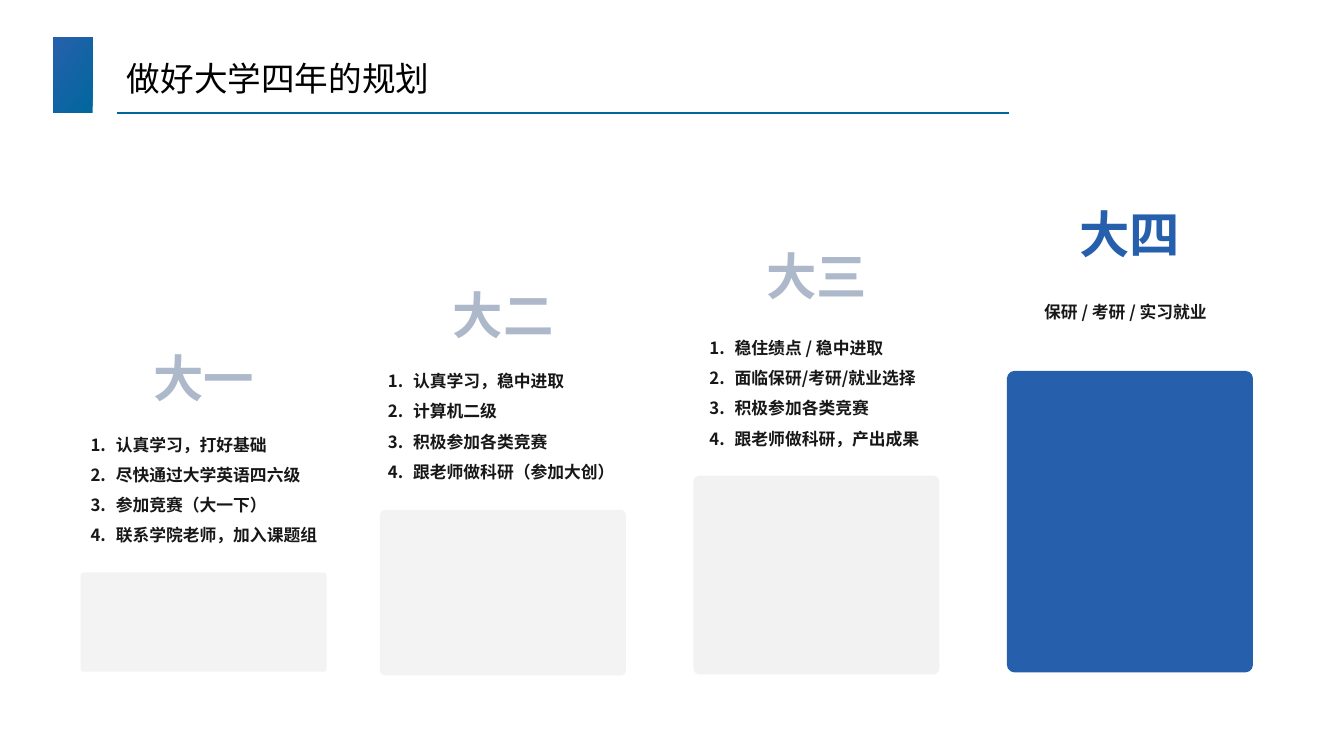
import dataclasses

import lxml.etree
import pptx
import pptx.dml.color
import pptx.enum.shapes
import pptx.enum.text
import pptx.oxml.ns
import pptx.shapes.base
import pptx.slide
import pptx.text.text
import pptx.util

# Grid: 80 columns by 45 rows of square cells on a 13.33 x 7.5 inch slide
COLUMNS, ROWS = 80, 45
CELL = pptx.util.Inches(7.5) // ROWS
FONT = "Noto Sans CJK SC"
COLORS = {
    "teal": "00679C",
    "blue": "2660AD",
    "muted": "ADB9CA",
    "ink": "181717",
    "black": "000000",
    "pale": "F3F3F3",
    "pale_dark": "F2F2F2",
}
FORMATS = {
    "title": {"size": pptx.util.Pt(24), "bold": False},
    "year": {"size": pptx.util.Pt(36), "bold": True},
    "plan": {"size": pptx.util.Pt(12), "bold": True},
}
BAR_WIDTH = 14.64
YEAR_WIDTH, YEAR_HEIGHT = 7.26, 4.26
INDENT = 1.5


@dataclasses.dataclass(frozen=True)
class Box:
    left: float
    top: float
    width: float
    height: float


@dataclasses.dataclass(frozen=True)
class Year:
    name: str
    name_color: str
    name_top: float
    plan_box: Box
    plans: tuple[str, ...]
    bar_left: float
    bar_top: float
    bar_height: float
    bar_color: str


YEARS = (
    Year("大一", "muted", 20.34, Box(4.8, 24.96, 16.86, 9.48),
         ("认真学习，打好基础", "尽快通过大学英语四六级", "参加竞赛（大一下）", "联系学院老师，加入课题组"),
         4.8, 34.08, 5.9, "pale"),
    Year("大二", "muted", 16.62, Box(22.5, 21.18, 15.9, 7.68),
         ("认真学习，稳中进取", "计算机二级", "积极参加各类竞赛", "跟老师做科研（参加大创）"),
         22.62, 30.36, 9.84, "pale"),
    Year("大三", "muted", 14.28, Box(41.64, 19.2, 15.9, 7.68),
         ("稳住绩点 / 稳中进取", "面临保研/考研/就业选择", "积极参加各类竞赛", "跟老师做科研，产出成果"),
         41.28, 28.32, 11.82, "pale_dark"),
    Year("大四", "blue", 11.82, Box(61.56, 17.04, 11.46, 2.22),
         ("保研 / 考研 / 实习就业",),
         59.94, 22.08, 17.94, "blue"),
)


def cells(count: float) -> int:
    return round(count * CELL)


def place(box: Box) -> tuple[int, int, int, int]:
    return cells(box.left), cells(box.top), cells(box.width), cells(box.height)


def rgb(name: str) -> pptx.dml.color.RGBColor:
    return pptx.dml.color.RGBColor.from_string(COLORS[name])


def add_block(slide: pptx.slide.Slide, kind: pptx.enum.shapes.MSO_SHAPE, box: Box) -> pptx.shapes.base.BaseShape:
    shape = slide.shapes.add_shape(kind, *place(box))
    shape.shadow.inherit = False
    shape.line.fill.background()
    return shape


def number_paragraph(paragraph: pptx.text.text._Paragraph) -> None:
    properties = paragraph._p.get_or_add_pPr()
    properties.set("marL", str(cells(INDENT)))
    properties.set("indent", str(-cells(INDENT)))
    bullet = lxml.etree.SubElement(properties, pptx.oxml.ns.qn("a:buAutoNum"))
    bullet.set("type", "arabicPeriod")


def add_text(slide: pptx.slide.Slide, box: Box, lines: tuple[str, ...], style: str, color: str,
             frame_format: dict[str, object], paragraph_format: dict[str, object]) -> None:
    frame = slide.shapes.add_textbox(*place(box)).text_frame
    for name, value in frame_format.items():
        setattr(frame, name, value)
    for index, line in enumerate(lines):
        paragraph = frame.add_paragraph() if index else frame.paragraphs[0]
        if len(lines) > 1:
            number_paragraph(paragraph)
        for name, value in paragraph_format.items():
            setattr(paragraph, name, value)
        run = paragraph.add_run()
        run.text = line
        for name, value in {"name": FONT, **FORMATS[style]}.items():
            setattr(run.font, name, value)
        run.font.color.rgb = rgb(color)
        east_asian = lxml.etree.SubElement(run._r.get_or_add_rPr(), pptx.oxml.ns.qn("a:ea"))
        east_asian.set("typeface", FONT)


def add_header(slide: pptx.slide.Slide) -> None:
    marker = add_block(slide, pptx.enum.shapes.MSO_SHAPE.RECTANGLE, Box(3.18, 2.25, 2.34, 4.47))
    marker.fill.gradient()
    marker.fill.gradient_angle = 145
    for stop, color, position in zip(marker.fill.gradient_stops, ("teal", "blue"), (0, 1)):
        stop.color.rgb = rgb(color)
        stop.position = position

    rule = slide.shapes.add_connector(
        pptx.enum.shapes.MSO_CONNECTOR.STRAIGHT, cells(6.96), cells(6.72), cells(60.06), cells(6.72))
    rule.line.color.rgb = rgb("teal")
    rule.line.width = pptx.util.Pt(1)
    lxml.etree.SubElement(rule._element.spPr, pptx.oxml.ns.qn("a:effectLst"))

    add_text(slide, Box(6.96, 2.82, 53.1, 3.9), ("做好大学四年的规划",), "title", "black",
             {"word_wrap": True, "vertical_anchor": pptx.enum.text.MSO_ANCHOR.MIDDLE},
             {"line_spacing": 0.9})


def add_year(slide: pptx.slide.Slide, year: Year) -> None:
    fit = pptx.enum.text.MSO_AUTO_SIZE.SHAPE_TO_FIT_TEXT
    # Step
    bar = add_block(slide, pptx.enum.shapes.MSO_SHAPE.ROUNDED_RECTANGLE,
                    Box(year.bar_left, year.bar_top, BAR_WIDTH, year.bar_height))
    bar.adjustments[0] = 0.03
    bar.fill.solid()
    bar.fill.fore_color.rgb = rgb(year.bar_color)
    # Year name, centred over its step
    name_left = year.bar_left + (BAR_WIDTH - YEAR_WIDTH) / 2
    add_text(slide, Box(name_left, year.name_top, YEAR_WIDTH, YEAR_HEIGHT), (year.name,),
             "year", year.name_color, {"word_wrap": False, "auto_size": fit},
             {"alignment": pptx.enum.text.PP_ALIGN.CENTER})
    # Plans
    add_text(slide, year.plan_box, year.plans, "plan", "ink",
             {"word_wrap": True, "auto_size": fit}, {"line_spacing": 1.5})


def main() -> None:
    presentation = pptx.Presentation()
    presentation.slide_width = cells(COLUMNS)
    presentation.slide_height = cells(ROWS)
    slide = presentation.slides.add_slide(presentation.slide_layouts[6])
    add_header(slide)
    for year in YEARS:
        add_year(slide, year)
    presentation.save("out.pptx")


if __name__ == "__main__":
    main()
